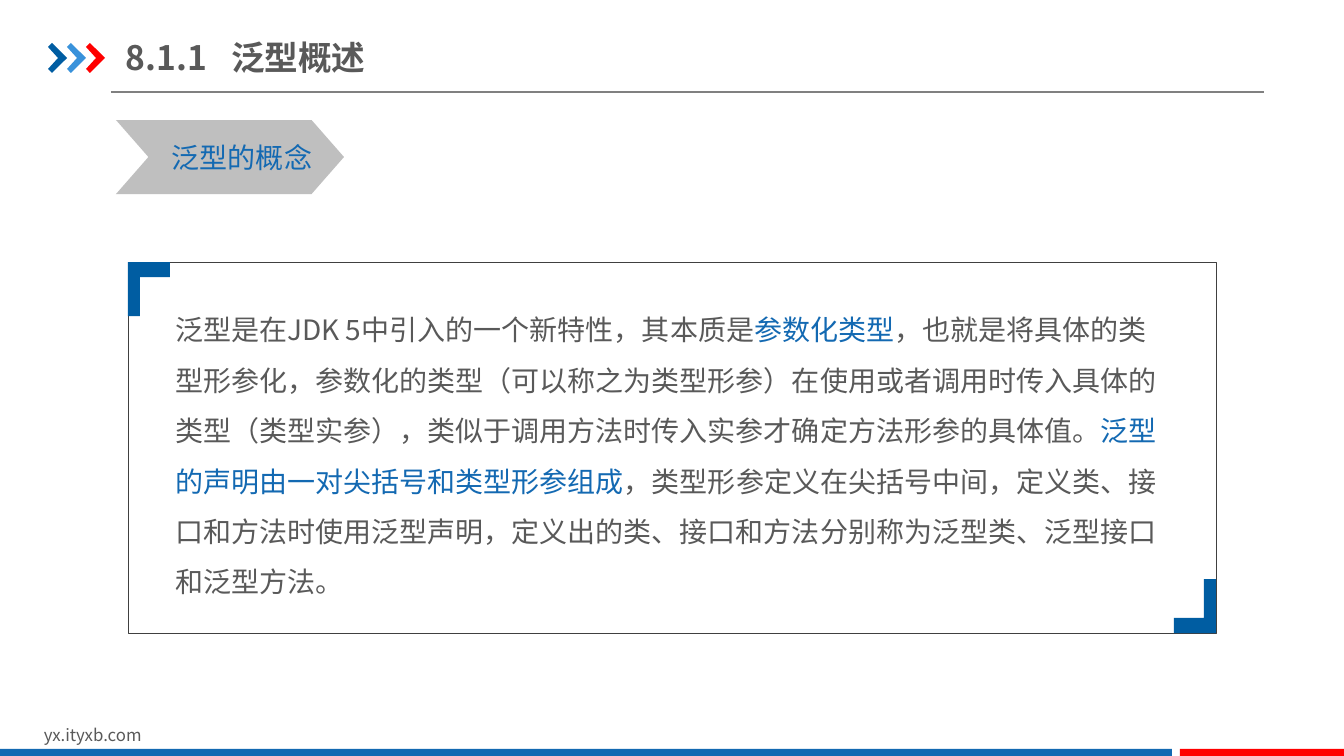
from lxml import etree
from pptx import Presentation
from pptx import util as u
from pptx.dml.color import RGBColor
from pptx.enum import shapes, text
from pptx.oxml import ns

PX = 914400 / 100.8
FONT = "Noto Sans CJK SC"
NAVY = RGBColor(0x00, 0x5D, 0xA2)
SKY = RGBColor(0x39, 0x92, 0xDB)
BLUE = RGBColor(0x13, 0x69, 0xB2)
RED = RGBColor(0xFF, 0x00, 0x00)
TEXT_GREY = RGBColor(0x59, 0x59, 0x59)
RULE_GREY = RGBColor(0x80, 0x80, 0x80)
TAG_GREY = RGBColor(0xBF, 0xBF, 0xBF)
FRAME_GREY = RGBColor(0x40, 0x40, 0x40)


def px(length):
    return u.Emu(round(length * PX))


class Deck:
    def __init__(self, width, height):
        self.prs = Presentation()
        self.prs.slide_width, self.prs.slide_height = px(width), px(height)
        self.slide = self.prs.slides.add_slide(self.prs.slide_layouts[1])
        self.shapes = self.slide.shapes

    def style(self, run, size, color, bold=False):
        run.font.size, run.font.bold = u.Pt(size), bold
        run.font.name = FONT
        run.font.color.rgb = color
        etree.SubElement(run.font._element, ns.qn("a:ea"), typeface=FONT)

    def place(self, holder, box, margins, anchor):
        holder.left, holder.top, holder.width, holder.height = map(px, box)
        frame = holder.text_frame
        frame.word_wrap = True
        frame.auto_size = text.MSO_AUTO_SIZE.NONE
        frame.vertical_anchor = anchor
        frame.margin_left = frame.margin_right = px(margins[0])
        frame.margin_top = frame.margin_bottom = px(margins[1])
        return frame

    def title(self, number, heading, box, tab):
        frame = self.place(self.shapes.title, box, (0, 7), text.MSO_ANCHOR.MIDDLE)
        frame.text = f"{number}\t{heading}"
        line = frame.paragraphs[0]
        line.alignment = text.PP_ALIGN.LEFT
        stops = etree.SubElement(line._p.get_or_add_pPr(), ns.qn("a:tabLst"))
        etree.SubElement(stops, ns.qn("a:tab"), pos=str(px(tab)), algn="l")
        self.style(line.runs[0], 24, TEXT_GREY, True)

    def body(self, passages, box):
        frame = self.place(self.slide.placeholders[1], box, (10, 5), text.MSO_ANCHOR.TOP)
        paragraph = frame.paragraphs[0]
        props = paragraph._p.get_or_add_pPr()
        props.set("marL", "0")
        props.set("indent", "0")
        etree.SubElement(props, ns.qn("a:buNone"))
        paragraph.line_spacing = 1.5
        paragraph.space_before = u.Pt(0)
        for words, color in passages:
            run = paragraph.add_run()
            run.text = words
            self.style(run, 20, color)

    def label(self, words, box, size, color):
        frame = self.shapes.add_textbox(*map(px, box)).text_frame
        frame.word_wrap = True
        frame.auto_size = text.MSO_AUTO_SIZE.SHAPE_TO_FIT_TEXT
        frame.text = words
        self.style(frame.paragraphs[0].runs[0], size, color)

    def paint(self, shape, fill=None, line=None):
        shape.shadow.inherit = False
        if fill is None:
            shape.fill.background()
        else:
            shape.fill.solid()
            shape.fill.fore_color.rgb = fill
        if line is None:
            shape.line.fill.background()
        else:
            shape.line.color.rgb = line
            shape.line.width = u.Pt(0.25)

    def preset(self, kind, box, fill=None, line=None, adjust=None):
        shape = self.shapes.add_shape(kind, *map(px, box))
        if adjust is not None:
            shape.adjustments[0] = adjust
        self.paint(shape, fill, line)

    def outline(self, points, fill):
        builder = self.shapes.build_freeform(*points[0], scale=PX)
        builder.add_line_segments(points[1:], close=True)
        self.paint(builder.convert_to_shape(), fill)

    def rule(self, x1, x2, y):
        line = self.shapes.add_connector(
            shapes.MSO_CONNECTOR.STRAIGHT, px(x1), px(y), px(x2), px(y))
        line.line.color.rgb = RULE_GREY
        line.line.width = u.Pt(0.75)
        etree.SubElement(line._element.spPr, ns.qn("a:effectLst"))


def main():
    deck = Deck(1344, 756)
    kind = shapes.MSO_SHAPE

    deck.rule(111, 1264, 92)
    arrow = [(48, 47), (52, 43), (67, 58), (52, 73), (48, 69), (58, 58)]
    for step, color in enumerate((NAVY, SKY, RED)):
        deck.outline([(x + 19 * step, y) for x, y in arrow], color)
    deck.title("8.1.1", "泛型概述", (126, 30, 429, 55), 105)

    deck.label("yx.ityxb.com", (34, 720, 321, 30), 12, TEXT_GREY)
    deck.preset(kind.RECTANGLE, (0, 749, 1172, 7), BLUE)
    deck.preset(kind.RECTANGLE, (1180, 749, 164, 7), RED)

    deck.preset(kind.CHEVRON, (116, 120, 228, 74), TAG_GREY, adjust=0.438)
    deck.label("泛型的概念", (162, 136, 170, 44), 20, BLUE)

    left, top, width, height = 128, 262, 1088, 371
    deck.preset(kind.ROUNDED_RECTANGLE, (left, top, width, height),
                line=FRAME_GREY, adjust=0)
    bracket = [(0, 0), (42, 0), (42, 15), (12, 15), (12, 54), (0, 54)]
    for x, y, way in ((left, top, 1), (left + width, top + height, -1)):
        deck.outline([(x + way * dx, y + way * dy) for dx, dy in bracket], NAVY)

    deck.body([
        ("泛型是在JDK 5中引入的一个新特性，其本质是", TEXT_GREY),
        ("参数化类型", BLUE),
        ("，也就是将具体的类型形参化，参数化的类型（可以称之为类型形参）"
         "在使用或者调用时传入具体的类型（类型实参），"
         "类似于调用方法时传入实参才确定方法形参的具体值。", TEXT_GREY),
        ("泛型的声明由一对尖括号和类型形参组成", BLUE),
        ("，类型形参定义在尖括号中间，定义类、接口和方法时使用泛型声明，"
         "定义出的类、接口和方法分别称为泛型类、泛型接口和泛型方法。", TEXT_GREY),
    ], (165, 291, 1016, 316))

    deck.prs.save("out.pptx")


if __name__ == "__main__":
    main()
